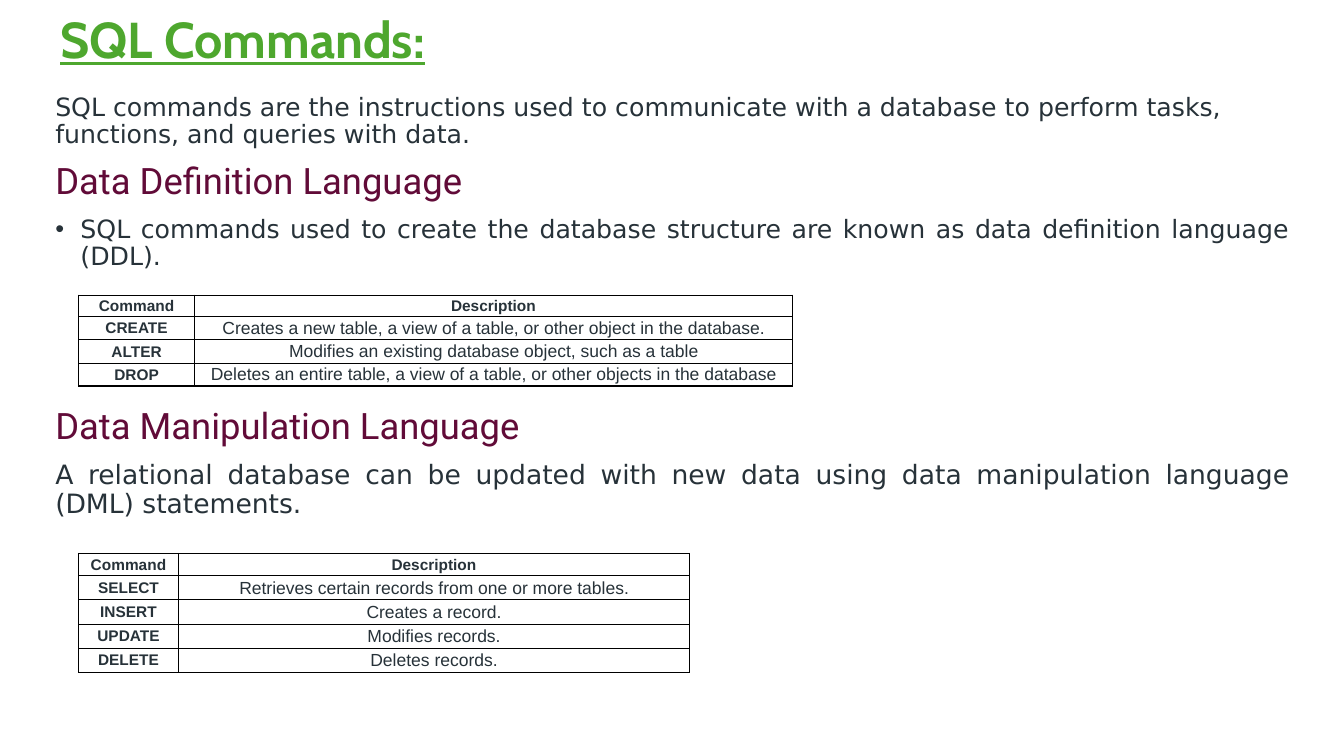
"""Builds the SQL commands slide with its two command tables."""
from dataclasses import dataclass

from lxml import etree
from pptx import Presentation
from pptx.dml.color import RGBColor
from pptx.enum.text import MSO_ANCHOR, PP_ALIGN
from pptx.oxml.ns import qn
from pptx.util import Inches, Pt

LEFT, CENTER, JUSTIFY = PP_ALIGN.LEFT, PP_ALIGN.CENTER, PP_ALIGN.JUSTIFY
TOP, MIDDLE = MSO_ANCHOR.TOP, MSO_ANCHOR.MIDDLE


@dataclass(frozen=True)
class Theme:
    """Colours, fonts and sizes of the slide."""
    green: str = "4EA72E"
    plum: str = "610B38"
    ink: str = "273239"
    border: str = "000000"
    paper: str = "FFFFFF"
    title_font: str = "Cabin"
    heading_font: str = "Roboto"
    body_font: str = "DejaVu Sans"
    table_font: str = "Arial"
    title_size: float = 36
    heading_size: float = 26
    body_size: float = 18
    large_body_size: float = 19
    label_size: float = 11
    cell_size: float = 12.5
    line_spacing: float = 0.9
    space_before: float = 10
    outer_line: float = 1
    inner_line: float = 0.5


def write(p, text, *, font, size, color, bold=False, underline=False,
          align=LEFT, spacing=None, before=0):
    """Write formatted text into a paragraph."""
    p.alignment = align
    p.space_before = Pt(before)
    if spacing:
        p.line_spacing = spacing
    r = p.add_run()
    r.text = text
    f = r.font
    f.name, f.size, f.bold, f.underline = font, Pt(size), bold, underline
    f.color.rgb = RGBColor.from_string(color)


class SlideBuilder:
    """Holds the theme and the current slide."""

    def __init__(self, slide, theme):
        """Keep the slide and the theme."""
        self.s, self.t = slide, theme

    def text_box(self, left, top, width, height, inset_y):
        """Add an empty wrapping text box and return its text frame."""
        sp = self.s.shapes.add_textbox(Inches(left), Inches(top), Inches(width), Inches(height))
        tf = sp.text_frame
        tf.word_wrap, tf.vertical_anchor = True, TOP
        tf.margin_left = tf.margin_right = Inches(0.1)
        tf.margin_top = tf.margin_bottom = Inches(inset_y)
        return tf

    def title(self, text):
        """Add the underlined title."""
        t = self.t
        tf = self.text_box(0.5, 0.1, 11.02, 0.76, 0.05)
        write(tf.paragraphs[0], text, font=t.title_font, size=t.title_size, color=t.green,
              bold=True, underline=True, spacing=t.line_spacing)

    def heading(self, p, text, before):
        """Write a section heading."""
        t = self.t
        write(p, text, font=t.heading_font, size=t.heading_size, color=t.plum,
              spacing=t.line_spacing, before=before)

    def body(self, p, text, size, align=JUSTIFY):
        """Write a body paragraph."""
        t = self.t
        write(p, text, font=t.body_font, size=size, color=t.ink, align=align,
              spacing=t.line_spacing, before=t.space_before)

    def bullet(self, p):
        """Give a paragraph a hanging bullet."""
        pPr = p._p.get_or_add_pPr()
        pPr.set("marL", str(Inches(0.25)))
        pPr.set("indent", str(-Inches(0.25)))
        etree.SubElement(pPr, qn("a:buFont"), typeface=self.t.table_font)
        etree.SubElement(pPr, qn("a:buChar"), char="•")

    def borders(self, cell, top, bottom):
        """Draw the four borders of a cell."""
        tcPr = cell._tc.get_or_add_tcPr()
        side = self.t.outer_line
        for tag, width in (("lnL", side), ("lnR", side), ("lnT", top), ("lnB", bottom)):
            ln = etree.SubElement(tcPr, qn(f"a:{tag}"), w=str(Pt(width)))
            fill = etree.SubElement(ln, qn("a:solidFill"))
            etree.SubElement(fill, qn("a:srgbClr"), val=self.t.border)

    def cell(self, cell, text, label):
        """Fill a cell with centred text, bold for a label."""
        t = self.t
        cell.fill.solid()
        cell.fill.fore_color.rgb = RGBColor.from_string(t.paper)
        cell.vertical_anchor = MIDDLE
        cell.margin_left = cell.margin_right = cell.margin_top = Inches(0.01)
        cell.margin_bottom = 0
        write(cell.text_frame.paragraphs[0], text, font=t.table_font, color=t.ink,
              size=t.label_size if label else t.cell_size, bold=label, align=CENTER)

    def command_table(self, top, widths, header_height, row_height, commands):
        """Add a table of commands and their descriptions."""
        rows = [("Command", "Description"), *commands]
        heights = [header_height] + [row_height] * len(commands)
        table = self.s.shapes.add_table(
            len(rows), len(widths), Inches(0.78), Inches(top),
            Inches(sum(widths)), Inches(sum(heights))).table
        table.first_row = table.horz_banding = False
        for col, width in zip(table.columns, widths):
            col.width = Inches(width)
        for i, (row, height, texts) in enumerate(zip(table.rows, heights, rows)):
            row.height = Inches(height)
            above = self.t.inner_line if i > 1 else self.t.outer_line
            below = self.t.inner_line if 0 < i < len(commands) else self.t.outer_line
            for j, text in enumerate(texts):
                self.borders(row.cells[j], above, below)
                self.cell(row.cells[j], text, label=i == 0 or j == 0)


def main():
    """Build and save the slide."""
    prs = Presentation()
    prs.slide_width, prs.slide_height = Inches(13.33), Inches(7.5)
    theme = Theme()
    b = SlideBuilder(prs.slides.add_slide(prs.slide_layouts[6]), theme)

    b.title("SQL Commands:")
    tf = b.text_box(0.45, 0.84, 12.44, 5.86, 0.1)
    b.body(tf.paragraphs[0], "SQL commands are the instructions used to communicate with a "
           "database to perform tasks, functions, and queries with data.",
           theme.body_size, align=LEFT)
    b.heading(tf.add_paragraph(), "Data Definition Language", theme.space_before)
    p = tf.add_paragraph()
    b.body(p, "SQL commands used to create the database structure are known as "
           "data definition language (DDL).", theme.body_size)
    b.bullet(p)
    b.heading(tf.add_paragraph(), "Data Manipulation Language", before=98)
    b.body(tf.add_paragraph(), "A relational database can be updated with new data using "
           "data manipulation language (DML) statements.", theme.large_body_size)

    b.command_table(2.93, (1.15, 5.93), 0.21, 0.23, [
        ("CREATE", "Creates a new table, a view of a table, or other object in the database."),
        ("ALTER", "Modifies an existing database object, such as a table"),
        ("DROP", "Deletes an entire table, a view of a table, or other objects in the database"),
    ])
    b.command_table(5.49, (0.99, 5.07), 0.22, 0.24, [
        ("SELECT", "Retrieves certain records from one or more tables."),
        ("INSERT", "Creates a record."),
        ("UPDATE", "Modifies records."),
        ("DELETE", "Deletes records."),
    ])
    prs.save("out.pptx")


if __name__ == "__main__":
    main()
